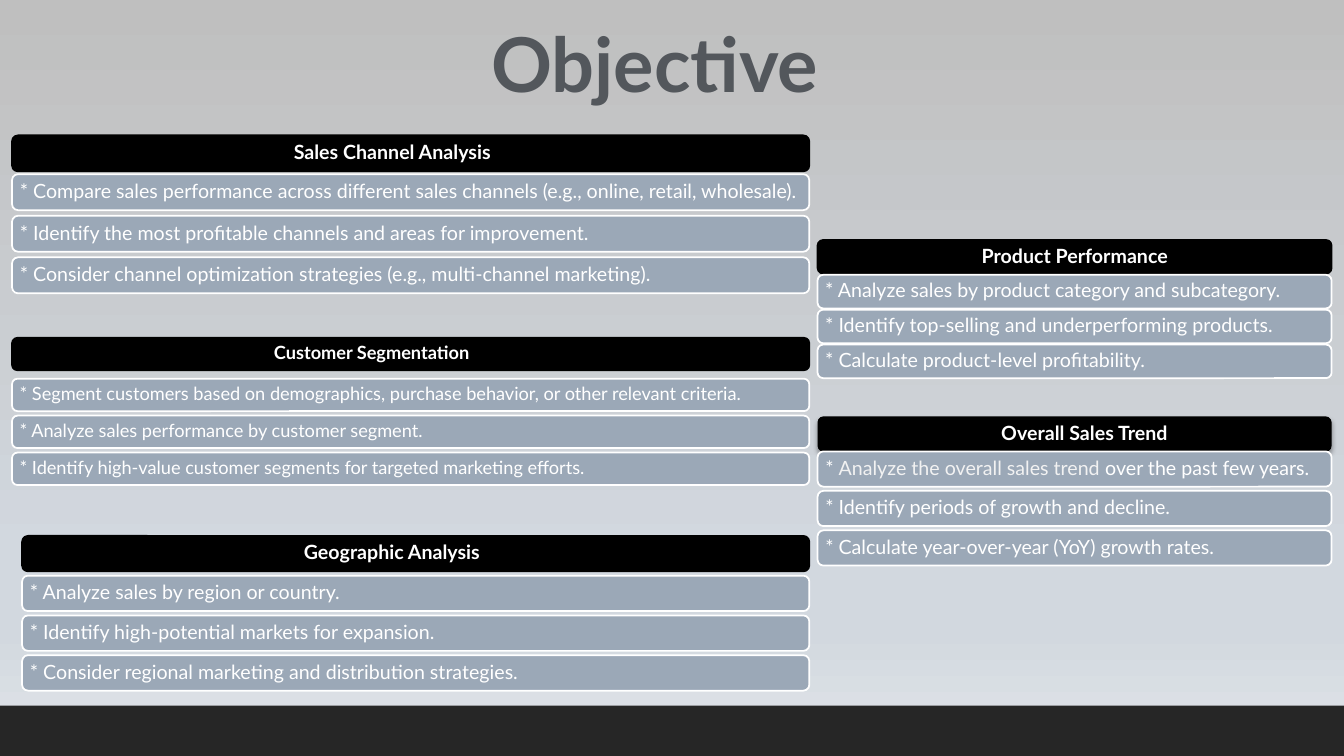
from pptx import Presentation
from pptx import util as u
from pptx.dml.color import RGBColor
from pptx.enum import shapes, text
from pptx.oxml import parse_xml
from pptx.oxml.ns import nsdecls, qn

Pt = u.Pt


def color(hex_string):
    return RGBColor.from_string(hex_string)


class ObjectiveSlide:
    FONT = "Lato"
    WHITE, SOFT_WHITE, BLACK = "FFFFFF", "F2F2F2", "000000"
    BAR, FOOTER, TITLE = "9BA8B7", "262626", "53575C"

    def __init__(self, presentation):
        self.slide = presentation.slides.add_slide(presentation.slide_layouts[6])

    def background(self, stops):
        fill = self.slide.background.fill
        fill.gradient()
        fill.gradient_angle = 270
        stop_list = self.slide.element.find(".//" + qn("a:gsLst"))
        for stop in list(stop_list):
            stop_list.remove(stop)
        for percent, hex_string in stops:
            stop_list.append(parse_xml(
                f'<a:gs {nsdecls("a")} pos="{percent * 1000}">'
                f'<a:srgbClr val="{hex_string}"/></a:gs>'))

    def box(self, kind, left, top, width, height, fill, line=None):
        shape = self.slide.shapes.add_shape(
            kind, Pt(left), Pt(top), Pt(width), Pt(height))
        shape.shadow.inherit = False
        shape.fill.solid()
        shape.fill.fore_color.rgb = color(fill)
        if line:
            shape.line.color.rgb = color(line)
            shape.line.width = Pt(1.25)
        else:
            shape.line.fill.background()
        return shape

    def format_run(self, run, size, hex_string, bold=False):
        run.font.name = self.FONT
        run.font.size = Pt(size)
        run.font.bold = bold
        run.font.color.rgb = color(hex_string)

    def title(self, words, left, top, width, height):
        frame = self.slide.shapes.add_textbox(
            Pt(left), Pt(top), Pt(width), Pt(height)).text_frame
        frame.word_wrap = False
        frame.text = words
        paragraph = frame.paragraphs[0]
        paragraph.alignment = text.PP_ALIGN.CENTER
        self.format_run(paragraph.runs[0], 54, self.TITLE, bold=True)

    def bar(self, pieces, left, top, width, height, size, fill, line,
            bold=False, indent=4.3, centered=False):
        shape = self.box(shapes.MSO_SHAPE.ROUNDED_RECTANGLE,
                         left, top, width, height, fill, line)
        frame = shape.text_frame
        frame.word_wrap = True
        frame.vertical_anchor = text.MSO_ANCHOR.MIDDLE
        frame.margin_left = Pt(indent)
        frame.margin_right = frame.margin_top = frame.margin_bottom = Pt(4)
        paragraph = frame.paragraphs[0]
        paragraph.alignment = text.PP_ALIGN.CENTER if centered else text.PP_ALIGN.LEFT
        paragraph.line_spacing = 0.9
        paragraph.space_after = Pt(size * 0.35)
        for words, hex_string in pieces:
            run = paragraph.add_run()
            run.text = words
            self.format_run(run, size, hex_string, bold)
        return shape

    def section(self, heading, items, left, width, height, head_top, first_top,
                pitch, size=14, indent=None, shadow=False):
        header = self.bar([(heading, self.WHITE)], left, head_top, width, height,
                          size, self.BLACK, None if shadow else self.BLACK,
                          bold=True, indent=indent or 4.3, centered=indent is None)
        if shadow:
            self.add_shadow(header)
        for row, item in enumerate(items):
            pieces = [(item, self.WHITE)] if isinstance(item, str) else item
            self.bar(pieces, left, first_top + row * pitch, width, height,
                     size, self.BAR, self.WHITE)

    def add_shadow(self, shape):
        effects = shape.element.spPr.find(qn("a:effectLst"))
        effects.append(parse_xml(
            f'<a:outerShdw {nsdecls("a")} blurRad="{Pt(3.5)}" dist="{Pt(2.2)}" '
            f'dir="5400000" rotWithShape="0"><a:srgbClr val="{self.BLACK}">'
            '<a:alpha val="32000"/></a:srgbClr></a:outerShdw>'))


def main():
    presentation = Presentation()
    presentation.slide_width, presentation.slide_height = Pt(960), Pt(540)
    page = ObjectiveSlide(presentation)

    # Background, footer band and title
    page.background([(0, "BFBFBF"), (74, "D2D8DF"), (83, "D2D8DF"), (100, "E1E5E9")])
    page.box(shapes.MSO_SHAPE.RECTANGLE, 0, 504, 960, 36, page.FOOTER)
    page.title("Objective", 342, 8.6, 251.3, 72.7)

    # Right column
    right = dict(left=584, width=367.2)
    page.section(
        "Overall Sales Trend",
        [[("* ", page.WHITE),
          ("Analyze the overall sales trend ", page.SOFT_WHITE),
          ("over the past few years.", page.WHITE)],
         "* Identify periods of growth and decline.",
         "* Calculate year-over-year (YoY) growth rates."],
        **right, height=25.2, head_top=297.4, first_top=322.4, pitch=28.2,
        indent=130, shadow=True)
    page.section(
        "Product Performance",
        ["* Analyze sales by product category and subcategory.",
         "* Identify top-selling and underperforming products.",
         "* Calculate product-level profitability."],
        **right, height=24, head_top=171.4, first_top=196.3, pitch=24.9)

    # Left column
    left = dict(left=8.6, width=569.5)
    page.section(
        "Customer Segmentation",
        ["* Segment customers based on demographics, purchase behavior, "
         "or other relevant criteria.",
         "* Analyze sales performance by customer segment.",
         "* Identify high-value customer segments for targeted marketing efforts."],
        **left, height=23.2, head_top=241.3, first_top=270.5, pitch=26.4,
        size=13, indent=186)
    page.section(
        "Sales Channel Analysis",
        ["* Compare sales performance across different sales channels "
         "(e.g., online, retail, wholesale).",
         "* Identify the most profitable channels and areas for improvement.",
         "* Consider channel optimization strategies (e.g., multi-channel marketing)."],
        **left, height=25.7, head_top=96.7, first_top=124.4, pitch=29.7, indent=200)
    page.section(
        "Geographic Analysis",
        ["* Analyze sales by region or country.",
         "* Identify high-potential markets for expansion.",
         "* Consider regional marketing and distribution strategies."],
        left=15.8, width=562.3, height=25.3, head_top=382.8, first_top=411.2,
        pitch=28.4, indent=200)

    presentation.save("out.pptx")


if __name__ == "__main__":
    main()
